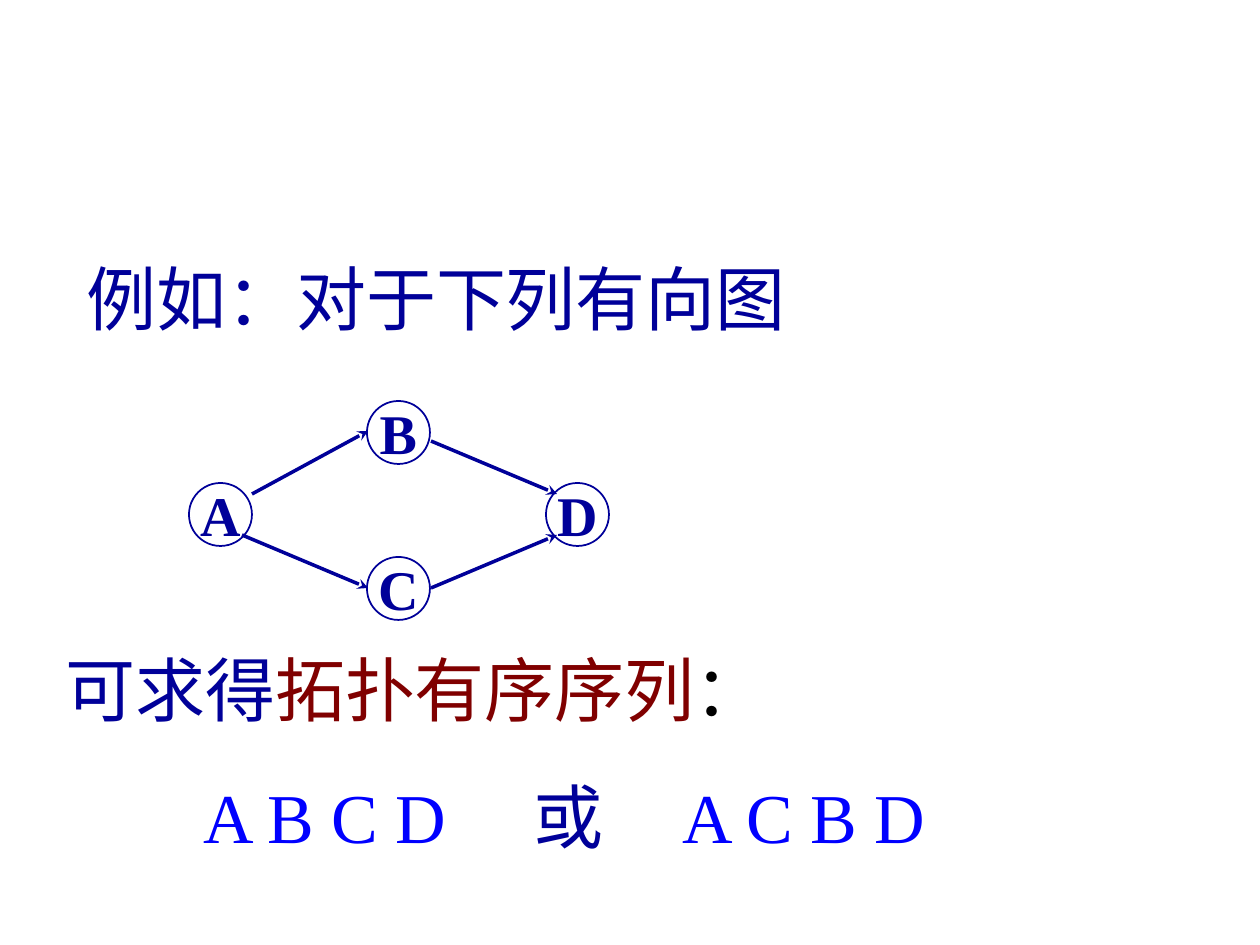
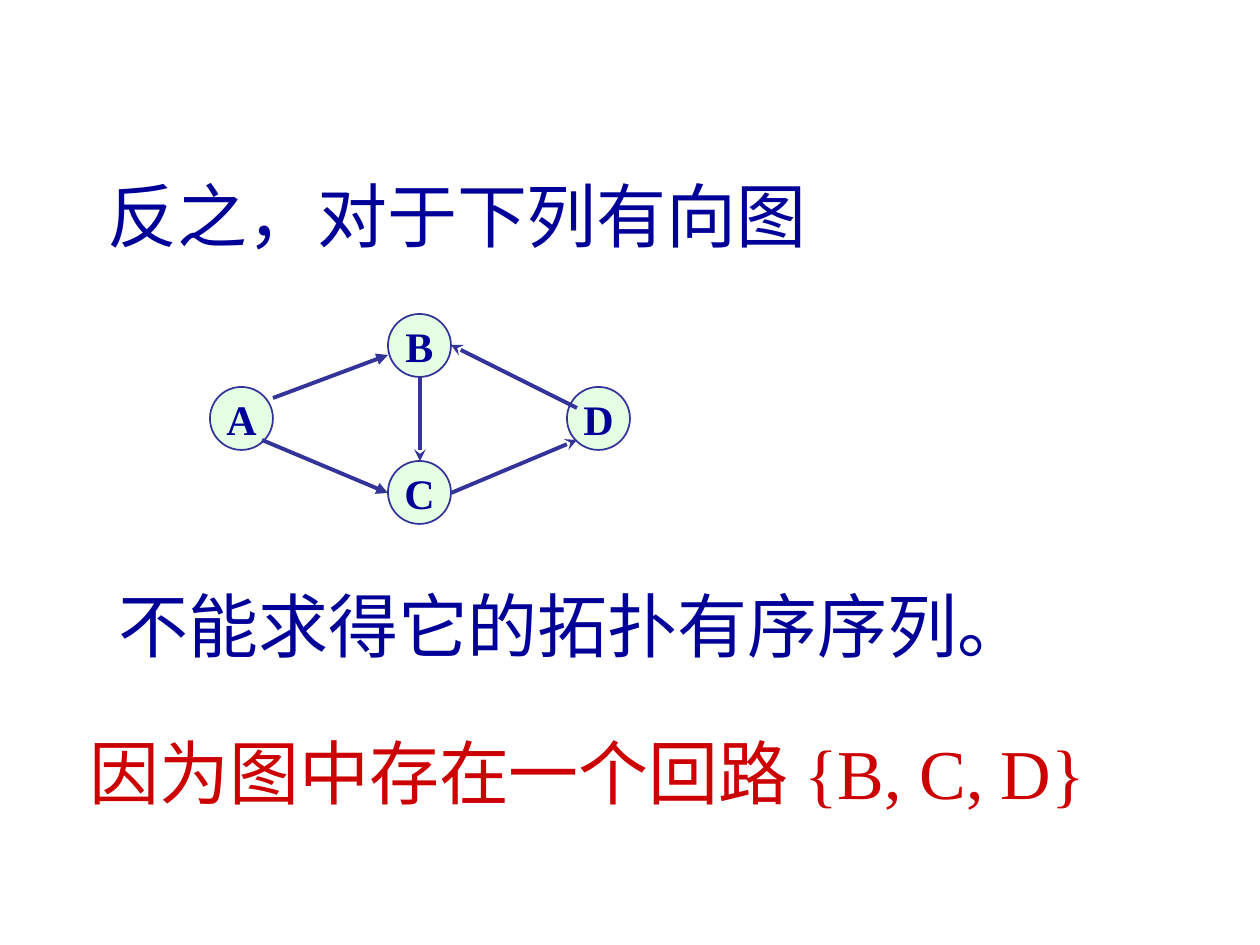
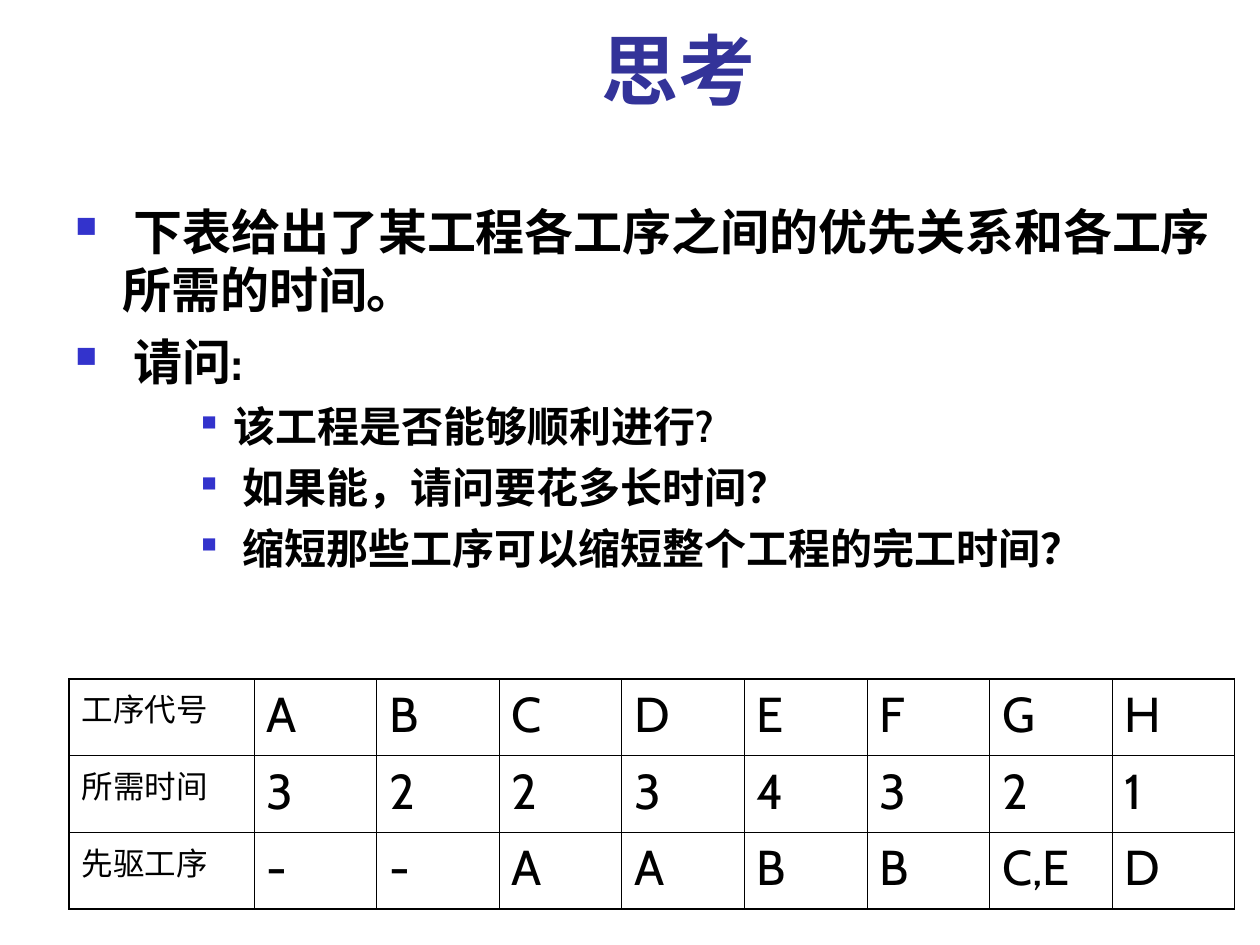
from dataclasses import dataclass
from typing import NamedTuple, Optional

from lxml.etree import SubElement
from pptx import Presentation
from pptx.dml.color import RGBColor
from pptx.enum.shapes import MSO_CONNECTOR, MSO_SHAPE
from pptx.enum.text import MSO_ANCHOR, MSO_AUTO_SIZE, PP_ALIGN
from pptx.oxml.ns import qn
from pptx.slide import Slide
from pptx.table import _Cell as Cell
from pptx.text.text import TextFrame
from pptx.util import Emu, Pt

PIXELS_PER_INCH = 126
NODE_SIZE = 63
SERIF = "Times New Roman"
SANS = "Cabin"

NAVY = RGBColor(0x00, 0x00, 0x99)
INDIGO = RGBColor(0x33, 0x33, 0x99)
BULLET_BLUE = RGBColor(0x33, 0x33, 0xCC)
BLUE = RGBColor(0x00, 0x00, 0xFF)
MAROON = RGBColor(0x80, 0x00, 0x00)
RED = RGBColor(0xCC, 0x00, 0x00)
MINT = RGBColor(0xCC, 0xFF, 0xCC)
BLACK = RGBColor(0x00, 0x00, 0x00)


class Box(NamedTuple):
    left: int
    top: int
    width: int
    height: int


class Node(NamedTuple):
    label: str
    left: int
    top: int


class Edge(NamedTuple):
    start: tuple[int, int]
    end: tuple[int, int]
    head: str = "stealth"


class Piece(NamedTuple):
    text: str
    color: RGBColor = NAVY


class Bullet(NamedTuple):
    text: str
    level: int = 0


@dataclass
class BulletStyle:
    size: int
    space_before: int
    margin: int
    hanging: int
    percent: int


@dataclass
class GraphStyle:
    color: RGBColor
    label_size: int
    edge_width: float
    fill: Optional[RGBColor] = None


BULLET_STYLES = {
    0: BulletStyle(size=28, space_before=7, margin=47, hanging=47, percent=60),
    2: BulletStyle(size=24, space_before=6, margin=158, hanging=32, percent=50),
}


def px(pixels: float) -> Emu:
    return Emu(round(pixels * 914400 / PIXELS_PER_INCH))


def style_font(font, name: str, size: int, color: RGBColor, bold: bool = False) -> None:
    font.name = name
    font.size = Pt(size)
    font.bold = bold
    font.color.rgb = color


def add_text_frame(slide: Slide, box: Box, wrap: bool) -> TextFrame:
    text_frame = slide.shapes.add_textbox(*map(px, box)).text_frame
    text_frame.word_wrap = wrap
    return text_frame


def add_statement(slide: Slide, box: Box, text: str, color: RGBColor = NAVY) -> None:
    text_frame = add_text_frame(slide, box, wrap=False)
    text_frame.auto_size = MSO_AUTO_SIZE.SHAPE_TO_FIT_TEXT
    text_frame.text = text
    style_font(text_frame.paragraphs[0].runs[0].font, SERIF, 40, color)


def add_colored_lines(slide: Slide, box: Box, lines: list[list[Piece]], tabs: list[int]) -> None:
    text_frame = add_text_frame(slide, box, wrap=True)
    for index, pieces in enumerate(lines):
        paragraph = text_frame.add_paragraph() if index else text_frame.paragraphs[0]
        paragraph.space_before = Pt(25)
        tab_list = SubElement(paragraph._p.get_or_add_pPr(), qn("a:tabLst"))
        for position in tabs:
            SubElement(tab_list, qn("a:tab"), pos=str(px(position)), algn="l")
        for piece in pieces:
            run = paragraph.add_run()
            run.text = piece.text
            style_font(run.font, SERIF, 40, piece.color)


def add_node(slide: Slide, node: Node, style: GraphStyle) -> None:
    shape = slide.shapes.add_shape(
        MSO_SHAPE.OVAL, px(node.left), px(node.top), px(NODE_SIZE), px(NODE_SIZE))
    shape.shadow.inherit = False
    if style.fill is None:
        shape.fill.background()
    else:
        shape.fill.solid()
        shape.fill.fore_color.rgb = style.fill
        color = shape.element.spPr.find(qn("a:solidFill")).find(qn("a:srgbClr"))
        SubElement(color, qn("a:alpha"), val="50000")
    shape.line.color.rgb = style.color
    shape.line.width = Pt(1)
    text_frame = shape.text_frame
    text_frame.word_wrap = False
    text_frame.vertical_anchor = MSO_ANCHOR.MIDDLE
    text_frame.text = node.label
    paragraph = text_frame.paragraphs[0]
    paragraph.alignment = PP_ALIGN.CENTER
    style_font(paragraph.runs[0].font, SERIF, style.label_size, NAVY, bold=True)


def add_edge(slide: Slide, edge: Edge, style: GraphStyle) -> None:
    connector = slide.shapes.add_connector(
        MSO_CONNECTOR.STRAIGHT, *map(px, edge.start + edge.end))
    connector.line.color.rgb = style.color
    connector.line.width = Pt(style.edge_width)
    properties = connector.element.spPr
    SubElement(properties.find(qn("a:ln")), qn("a:tailEnd"), type=edge.head)
    SubElement(properties, qn("a:effectLst"))


def add_graph(slide: Slide, nodes: list[Node], edges: list[Edge], style: GraphStyle) -> None:
    for node in nodes:
        add_node(slide, node, style)
    for edge in edges:
        add_edge(slide, edge, style)


def set_title(slide: Slide, box: Box, text: str) -> None:
    title = slide.shapes.title
    title.left, title.top, title.width, title.height = map(px, box)
    title.text_frame.text = text
    title.text_frame.vertical_anchor = MSO_ANCHOR.BOTTOM
    paragraph = title.text_frame.paragraphs[0]
    paragraph.alignment = PP_ALIGN.CENTER
    style_font(paragraph.runs[0].font, SANS, 44, INDIGO, bold=True)


def add_bullets(slide: Slide, box: Box, bullets: list[Bullet]) -> None:
    text_frame = add_text_frame(slide, box, wrap=True)
    for index, bullet in enumerate(bullets):
        style = BULLET_STYLES[bullet.level]
        paragraph = text_frame.add_paragraph() if index else text_frame.paragraphs[0]
        paragraph.text = bullet.text
        paragraph.level = bullet.level
        paragraph.space_before = Pt(style.space_before)
        style_font(paragraph.runs[0].font, SANS, style.size, BLACK, bold=True)
        properties = paragraph._p.get_or_add_pPr()
        properties.set("marL", str(px(style.margin)))
        properties.set("indent", str(-px(style.hanging)))
        color = SubElement(properties, qn("a:buClr"))
        SubElement(color, qn("a:srgbClr"), val=str(BULLET_BLUE))
        SubElement(properties, qn("a:buSzPct"), val=str(style.percent * 1000))
        SubElement(properties, qn("a:buChar"), char="■")


def set_borders(cell: Cell, outer_sides: dict[str, bool]) -> None:
    properties = cell._tc.get_or_add_tcPr()
    for side, is_outer in outer_sides.items():
        width = Pt(1.08 if is_outer else 0.45)
        line = SubElement(properties, qn(f"a:ln{side}"), w=str(width))
        fill = SubElement(line, qn("a:solidFill"))
        SubElement(fill, qn("a:srgbClr"), val=str(BLACK))


def add_grid(slide: Slide, box: Box, rows: list[list[str]], first_width: int) -> None:
    last_row, last_column = len(rows) - 1, len(rows[0]) - 1
    table = slide.shapes.add_table(len(rows), len(rows[0]), *map(px, box)).table
    table.first_row = False
    table.horz_banding = False
    for index, column in enumerate(table.columns):
        column.width = px((box.width - first_width) / last_column if index else first_width)
    for row_index, values in enumerate(rows):
        for column_index, value in enumerate(values):
            cell = table.cell(row_index, column_index)
            set_borders(cell, {
                "L": column_index == 0,
                "R": column_index == last_column,
                "T": row_index == 0,
                "B": row_index == last_row,
            })
            cell.fill.background()
            cell.text_frame.text = value
            paragraph = cell.text_frame.paragraphs[0]
            paragraph.space_before = Pt(7 if column_index else 4.5)
            style_font(paragraph.runs[0].font, SANS, 28 if column_index else 18, BLACK)


presentation = Presentation()
presentation.slide_width = px(1260)
presentation.slide_height = px(945)
title_only_layout = presentation.slide_layouts[5]
blank_layout = presentation.slide_layouts[6]

# Slide 1: a graph with topological orders
slide = presentation.slides.add_slide(blank_layout)
add_statement(slide, Box(74, 249, 725, 97), "例如：对于下列有向图")
add_graph(
    slide,
    [Node("B", 367, 401), Node("D", 546, 483), Node("A", 189, 483), Node("C", 367, 557)],
    [
        Edge((252, 494), (368, 431)),
        Edge((242, 535), (368, 588)),
        Edge((431, 441), (557, 494)),
        Edge((431, 588), (557, 535)),
    ],
    GraphStyle(color=NAVY, label_size=32, edge_width=2),
)
add_colored_lines(
    slide,
    Box(53, 640, 1134, 224),
    [
        [Piece("可求得"), Piece("拓扑有序序列", MAROON), Piece("：", BLACK)],
        [Piece("\tA B C D", BLUE), Piece("\t或"), Piece("\tA C B D", BLUE)],
    ],
    tabs=[138, 468, 617],
)

# Slide 2: a graph with a cycle
slide = presentation.slides.add_slide(blank_layout)
add_graph(
    slide,
    [Node("B", 388, 314), Node("D", 567, 387), Node("A", 210, 387), Node("C", 388, 461)],
    [
        Edge((273, 398), (388, 355), "triangle"),
        Edge((262, 440), (388, 493), "triangle"),
        Edge((451, 493), (577, 440)),
        Edge((577, 408), (451, 345)),
        Edge((420, 377), (420, 461)),
    ],
    GraphStyle(color=INDIGO, label_size=24, edge_width=2.25, fill=MINT),
)
add_statement(slide, Box(95, 166, 725, 97), "反之，对于下列有向图")
add_statement(slide, Box(106, 576, 934, 97), "不能求得它的拓扑有序序列。")
add_statement(slide, Box(77, 723, 1037, 97), "因为图中存在一个回路 {B, C, D}", RED)

# Slide 3: questions and the table of tasks
slide = presentation.slides.add_slide(title_only_layout)
set_title(slide, Box(136, 26, 1085, 95), "思考")
add_bullets(
    slide,
    Box(63, 195, 1171, 718),
    [
        Bullet(" 下表给出了某工程各工序之间的优先关系和各工序所需的时间。"),
        Bullet(" 请问:"),
        Bullet("该工程是否能够顺利进行?", level=2),
        Bullet(" 如果能，请问要花多长时间？", level=2),
        Bullet(" 缩短那些工序可以缩短整个工程的完工时间？", level=2),
    ],
)
add_grid(
    slide,
    Box(69, 679, 1166, 230),
    [
        ["工序代号", "A", "B", "C", "D", "E", "F", "G", "H"],
        ["所需时间", "3", "2", "2", "3", "4", "3", "2", "1"],
        ["先驱工序", "-", "-", "A", "A", "B", "B", "C,E", "D"],
    ],
    first_width=185,
)

presentation.save("out.pptx")
